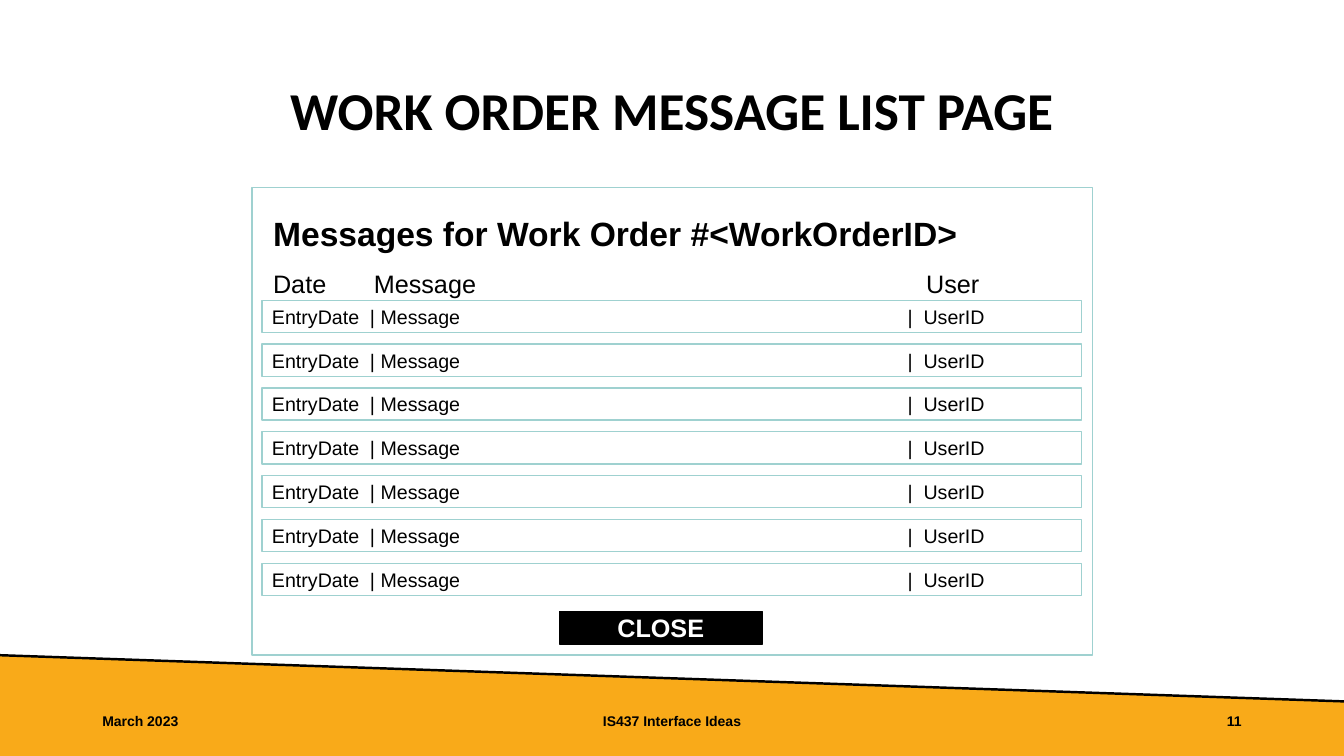
from lxml import etree
from pptx import Presentation
from pptx.dml.color import RGBColor
from pptx.enum.shapes import MSO_CONNECTOR, MSO_SHAPE
from pptx.enum.text import MSO_ANCHOR, MSO_AUTO_SIZE, PP_ALIGN
from pptx.oxml.ns import qn
from pptx.util import Pt

LEFT, CENTER, RIGHT = PP_ALIGN.LEFT, PP_ALIGN.CENTER, PP_ALIGN.RIGHT
MIDDLE, TOP = MSO_ANCHOR.MIDDLE, MSO_ANCHOR.TOP
TITLE_ONLY = 5
BLACK, WHITE, TEAL, AMBER = "000000", "FFFFFF", "9FD1D0", "F9AA19"

TITLE = "WORK ORDER MESSAGE LIST PAGE"
PANEL_HEADING = "Messages for Work Order #<WorkOrderID>"
COLUMN_HEADS = "Date\tMessage\tUser"
MESSAGE_ROW = "EntryDate\t| Message\t|\tUserID"
ROW_COUNT = 7
BUTTON = "CLOSE"
FOOTERS = [  # text, left, width, alignment
    ("IS437 Interface Ideas", 318, 324, CENTER),
    ("March 2023", 66, 216, LEFT),
    ("11", 678, 216, RIGHT),
]

SLIDE_WIDTH, SLIDE_HEIGHT = 960, 540
BAND_LEFT_TOP, BAND_RIGHT_TOP = 468, 501
PANEL_BOX = (180, 134, 600.5, 334)
HEADING_BOX = (188, 134, 592.5, 80)
BUTTON_BOX = (399.5, 437, 145, 23)
ROW_LEFT, ROW_TOP, ROW_WIDTH, ROW_HEIGHT = 187.2, 214.5, 585.5, 23
ROW_PITCH = 31.3
HEAD_TABS = (72, 466.5)
ROW_TABS = (70, 454, 465.4)


def color(hex_code):
    return RGBColor.from_string(hex_code)


def box(values):
    return [Pt(value) for value in values]


def format_paragraph(paragraph, size, font="Arial", ink=BLACK, bold=False,
                     align=LEFT, spacing=None, tabs=()):
    paragraph.alignment = align
    if spacing:
        paragraph.line_spacing = spacing
    for run in paragraph.runs:
        run.font.name = font
        run.font.size = Pt(size)
        run.font.bold = bold
        run.font.color.rgb = color(ink)
    if tabs:
        properties = paragraph._p.get_or_add_pPr()
        tab_list = etree.SubElement(properties, qn("a:tabLst"))
        for position in tabs:
            etree.SubElement(tab_list, qn("a:tab"), pos=str(Pt(position)), algn="l")


def paint(shape, fill, line=None):
    shape.shadow.inherit = False
    shape.fill.solid()
    shape.fill.fore_color.rgb = color(fill)
    if line:
        shape.line.color.rgb = color(line)
        shape.line.width = Pt(1)
    else:
        shape.line.fill.background()


def add_rectangle(slide, bounds, fill, line, text="", **style):
    shape = slide.shapes.add_shape(MSO_SHAPE.RECTANGLE, *box(bounds))
    paint(shape, fill, line)
    if text:
        frame = shape.text_frame
        frame.vertical_anchor = MIDDLE
        frame.text = text
        format_paragraph(frame.paragraphs[0], **style)


def add_text_frame(slide, bounds, text, anchor):
    frame = slide.shapes.add_textbox(*box(bounds)).text_frame
    frame.word_wrap = True
    frame.vertical_anchor = anchor
    frame.text = text
    return frame


def add_band(slide):
    builder = slide.shapes.build_freeform(0, BAND_LEFT_TOP, scale=Pt(1))
    builder.add_line_segments([(0, SLIDE_HEIGHT), (SLIDE_WIDTH, SLIDE_HEIGHT),
                               (SLIDE_WIDTH, BAND_RIGHT_TOP)], close=True)
    paint(builder.convert_to_shape(), AMBER)
    edge = slide.shapes.add_connector(
        MSO_CONNECTOR.STRAIGHT, *box((0, BAND_LEFT_TOP, SLIDE_WIDTH, BAND_RIGHT_TOP)))
    edge.line.color.rgb = color(BLACK)
    edge.line.width = Pt(1.75)
    etree.SubElement(edge._element.spPr, qn("a:effectLst"))


def add_title(slide):
    title = slide.shapes.title
    title.left, title.top, title.width, title.height = box((66, 29, 828, 104))
    frame = title.text_frame
    frame.auto_size = MSO_AUTO_SIZE.NONE
    frame.vertical_anchor = MIDDLE
    frame.text = TITLE
    format_paragraph(frame.paragraphs[0], 38, font="Calibri", bold=True,
                     align=CENTER, spacing=0.9)


def add_message_panel(slide):
    add_rectangle(slide, PANEL_BOX, WHITE, TEAL)
    add_rectangle(slide, BUTTON_BOX, BLACK, BLACK, BUTTON,
                  size=18, ink=WHITE, bold=True, align=CENTER)
    for index in range(ROW_COUNT):
        bounds = (ROW_LEFT, ROW_TOP + index * ROW_PITCH, ROW_WIDTH, ROW_HEIGHT)
        add_rectangle(slide, bounds, WHITE, TEAL, MESSAGE_ROW, size=14, tabs=ROW_TABS)
    frame = add_text_frame(slide, HEADING_BOX, PANEL_HEADING, TOP)
    format_paragraph(frame.paragraphs[0], 24, bold=True, spacing=1.5)
    heads = frame.add_paragraph()
    heads.text = COLUMN_HEADS
    format_paragraph(heads, 18, spacing=1.5, tabs=HEAD_TABS)


def main():
    presentation = Presentation()
    presentation.slide_width = Pt(SLIDE_WIDTH)
    presentation.slide_height = Pt(SLIDE_HEIGHT)
    slide = presentation.slides.add_slide(presentation.slide_layouts[TITLE_ONLY])
    add_band(slide)
    add_title(slide)
    add_message_panel(slide)
    for text, left, width, align in FOOTERS:
        frame = add_text_frame(slide, (left, 500.5, width, 29), text, MIDDLE)
        format_paragraph(frame.paragraphs[0], 10, bold=True, align=align)
    presentation.save("out.pptx")


if __name__ == "__main__":
    main()
